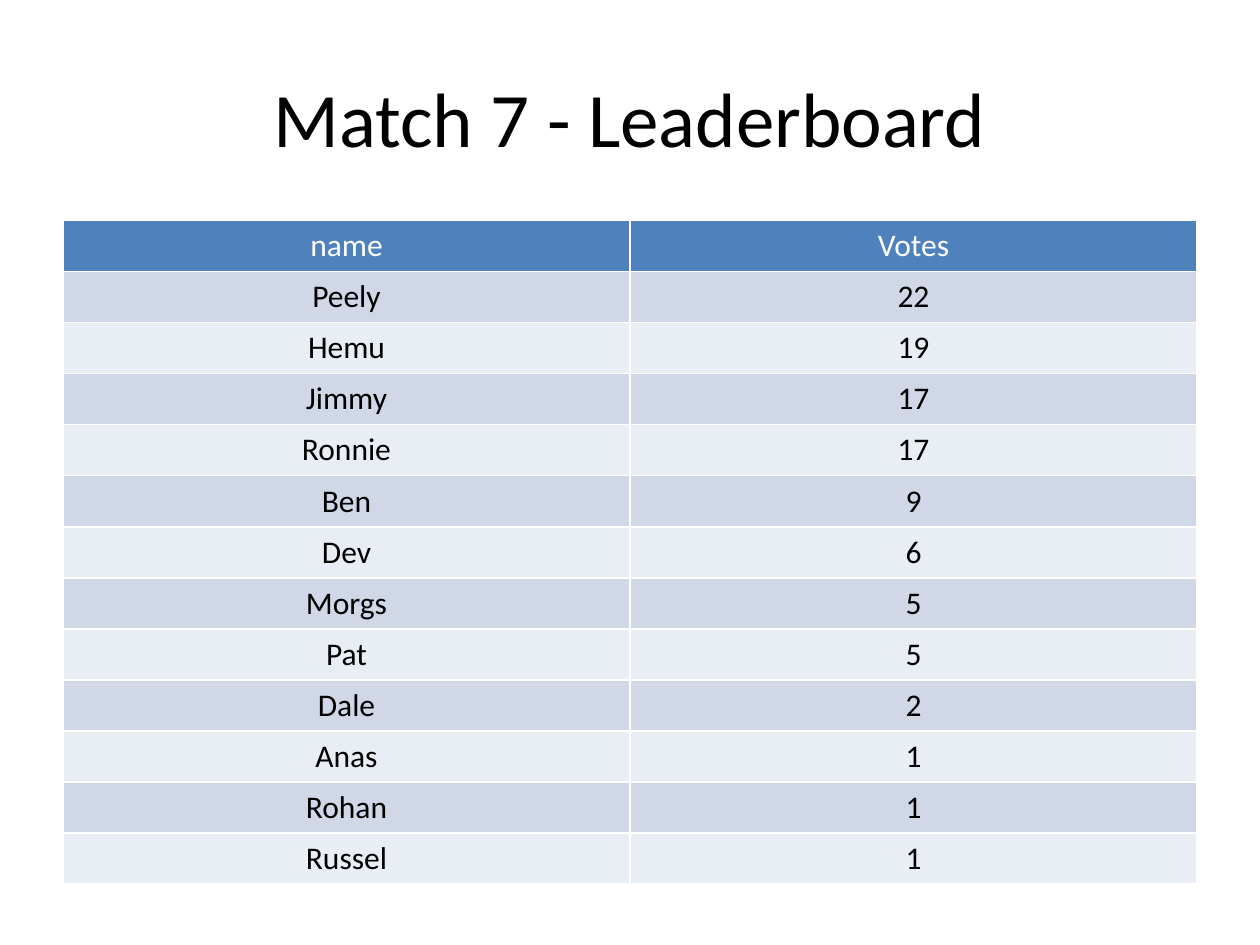
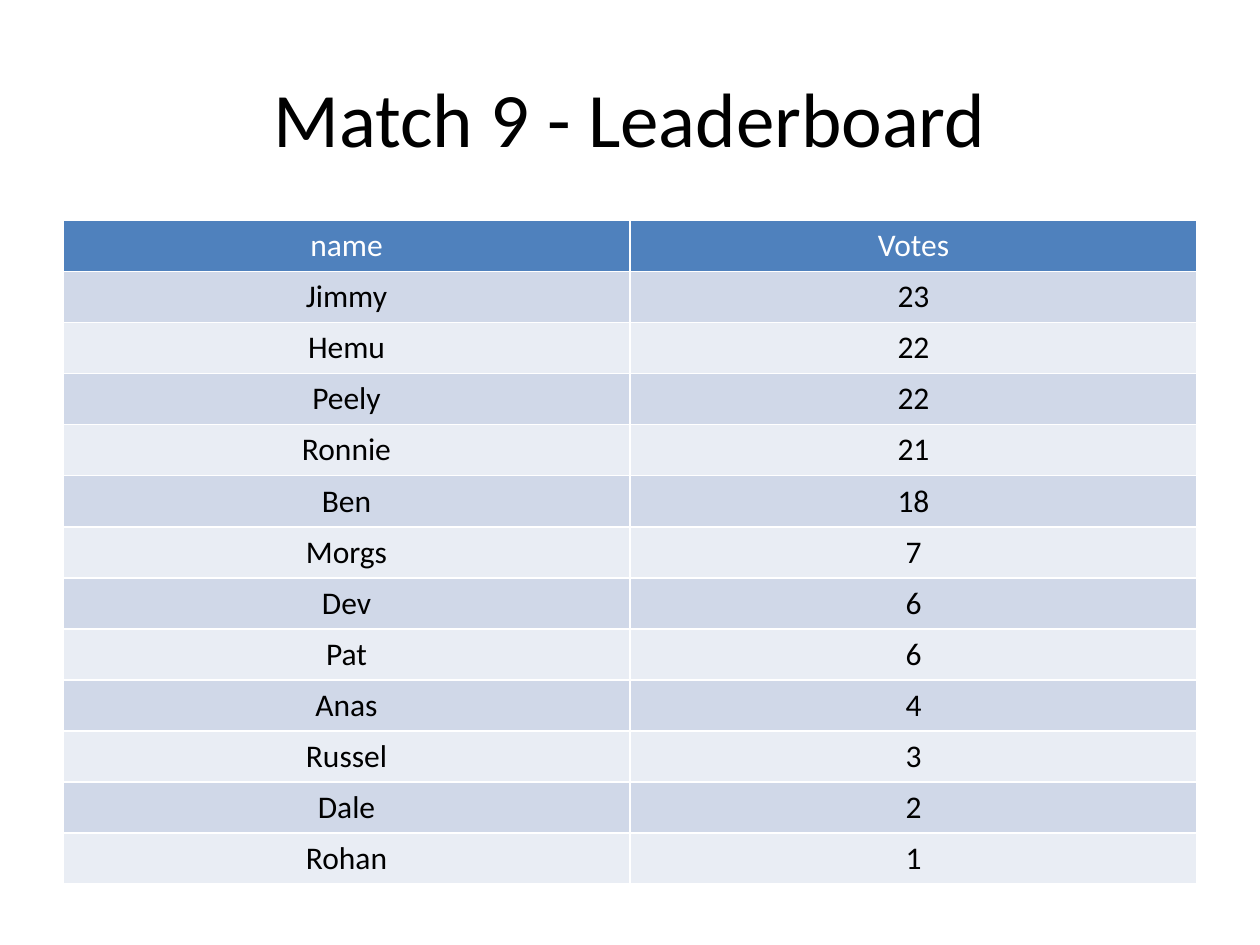
from pptx import Presentation
from pptx.dml.color import RGBColor
from pptx.enum import text
from pptx.util import Inches, Pt

FONT = "Calibri"
BLACK = RGBColor(0x00, 0x00, 0x00)
WHITE = RGBColor(0xFF, 0xFF, 0xFF)
BLUE = RGBColor(0x4F, 0x81, 0xBD)
BANDS = RGBColor(0xE9, 0xED, 0xF4), RGBColor(0xD0, 0xD8, 0xE8)

HEADS = "name", "Votes"
BOARDS = {
    7: [("Peely", 22), ("Hemu", 19), ("Jimmy", 17), ("Ronnie", 17),
        ("Ben", 9), ("Dev", 6), ("Morgs", 5), ("Pat", 5),
        ("Dale", 2), ("Anas", 1), ("Rohan", 1), ("Russel", 1)],
    9: [("Jimmy", 23), ("Hemu", 22), ("Peely", 22), ("Ronnie", 21),
        ("Ben", 18), ("Morgs", 7), ("Dev", 6), ("Pat", 6),
        ("Anas", 4), ("Russel", 3), ("Dale", 2), ("Rohan", 1)],
}


def put_text(frame, words, size, color):
    """Write one centred line of text into a frame."""
    line = frame.paragraphs[0]
    line.text = str(words)
    line.alignment = text.PP_ALIGN.CENTER
    font = line.font
    font.name, font.size, font.bold = FONT, Pt(size), False
    font.color.rgb = color


def add_title(slide, words, left, top, width, height):
    """Place the slide title in the middle of its box."""
    frame = slide.shapes.add_textbox(left, top, width, height).text_frame
    frame.word_wrap = True
    frame.vertical_anchor = text.MSO_ANCHOR.MIDDLE
    put_text(frame, words, 44, BLACK)


def add_votes(slide, scores, left, top, width, height):
    """Fill the box with a banded table of names and votes."""
    rows = [HEADS, *scores]
    table = slide.shapes.add_table(
        len(rows), len(HEADS), left, top, width, height).table
    for i, row in enumerate(rows):
        for j, value in enumerate(row):
            cell = table.cell(i, j)
            cell.fill.solid()
            cell.fill.fore_color.rgb = BANDS[i % 2] if i else BLUE
            put_text(cell.text_frame, value, 18, BLACK if i else WHITE)


def add_board(deck, match, scores):
    """Add the leaderboard slide of one match."""
    slide = deck.slides.add_slide(deck.slide_layouts[6])
    left, width = Inches(0.5), Inches(9)
    add_title(slide, f"Match {match} - Leaderboard",
              left, Inches(0.3), width, Inches(1.25))
    add_votes(slide, scores, left, Inches(1.75), width, Inches(5.27))


def main():
    """Build and save the deck."""
    deck = Presentation()
    deck.slide_width, deck.slide_height = Inches(10), Inches(7.5)
    for match, scores in BOARDS.items():
        add_board(deck, match, scores)
    deck.save("out.pptx")


if __name__ == "__main__":
    main()
